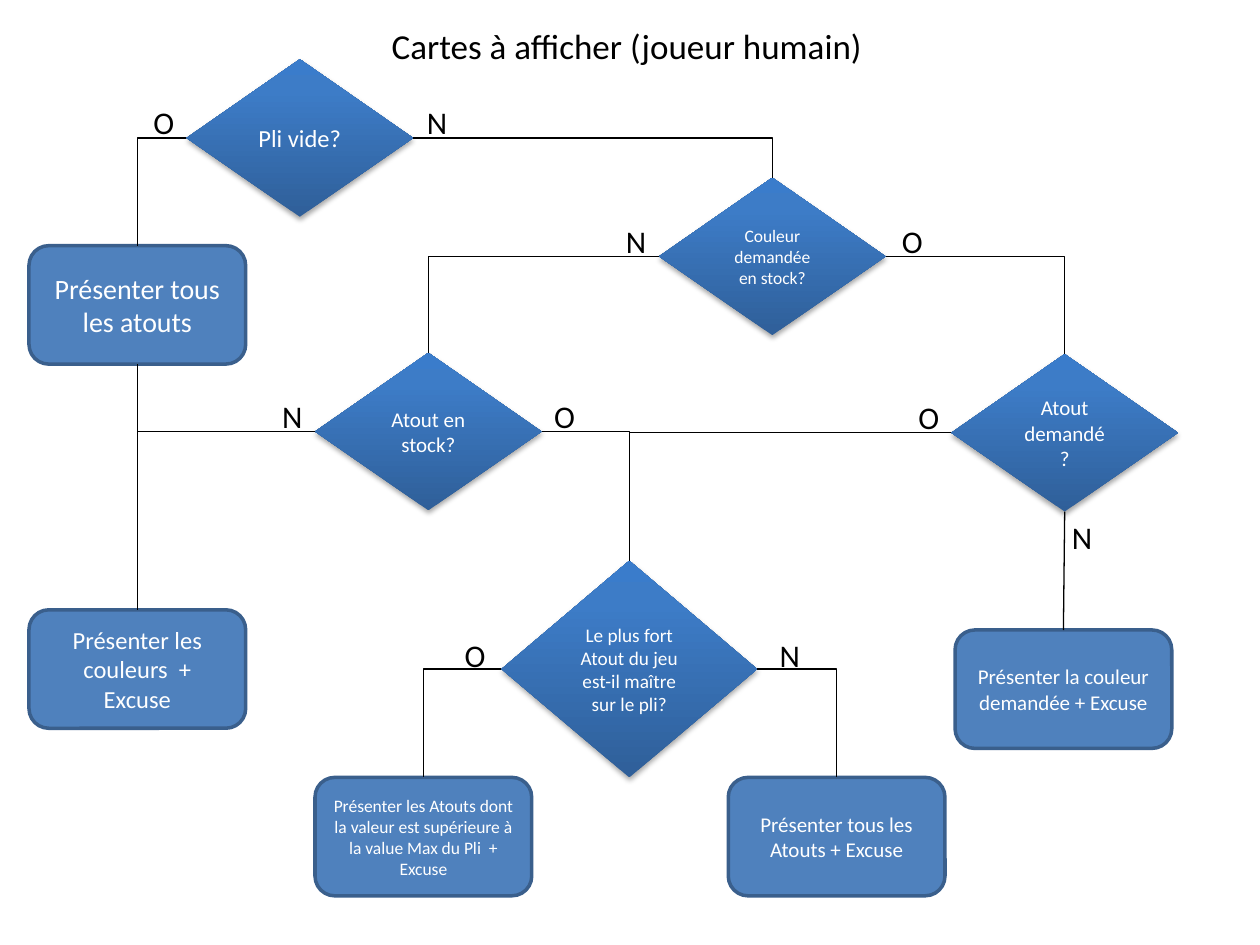
from lxml import etree
from pptx import Presentation
from pptx.dml.color import RGBColor
from pptx.enum.shapes import MSO_CONNECTOR, MSO_SHAPE
from pptx.enum.text import MSO_ANCHOR, PP_ALIGN
from pptx.oxml.ns import qn
from pptx.util import Inches, Pt

DIAMOND, BOX = MSO_SHAPE.DIAMOND, MSO_SHAPE.ROUNDED_RECTANGLE
STRAIGHT, ELBOW = MSO_CONNECTOR.STRAIGHT, MSO_CONNECTOR.ELBOW
CENTER, LEFT_ALIGN = PP_ALIGN.CENTER, PP_ALIGN.LEFT
MIDDLE, ANCHOR_TOP = MSO_ANCHOR.MIDDLE, MSO_ANCHOR.TOP
TOP, LEFT, BOTTOM, RIGHT = range(4)

FONT = "Calibri"
BLACK, WHITE = "000000", "FFFFFF"
BOX_FILL, BOX_LINE = "4F81BD", "3A5F8C"
GRADIENT = [(0, "2F5F99"), (80, "3D7CC7"), (100, "3A7CCB")]
SMALL, LARGE = (1.8, 1.25), (2.03, 1.72)
BOX_SIZE = (1.72, 0.94)

TITLE = "Cartes à afficher (joueur humain)"
DECISIONS = {
    "empty trick": ("Pli vide?", 1.48, 0.47, SMALL, 14),
    "suit in hand": ("Couleur demandée en stock?", 5.23, 1.41, SMALL, 10),
    "trump asked": ("Atout demandé?", 7.55, 2.81, SMALL, 12),
    "trump in hand": ("Atout en stock?", 2.5, 2.8, SMALL, 12),
    "best trump": ("Le plus fort Atout du jeu est-il maître sur le pli?", 3.98, 4.45, LARGE, 11),
}
RESULTS = {
    "all trumps": ("Présenter tous les atouts", 0.23, 1.95, 16),
    "suits": ("Présenter les couleurs  + Excuse", 0.23, 4.84, 14),
    "asked suit": ("Présenter la couleur demandée + Excuse", 7.58, 5, 12),
    "higher trumps": (
        "Présenter les Atouts dont la valeur est supérieure à la value Max du Pli  + Excuse",
        2.5, 6.17, 10),
    "trumps and excuse": ("Présenter tous les Atouts + Excuse", 5.78, 6.17, 12),
}
ANSWERS = [
    ("O", 1.12, 0.77), ("N", 3.29, 0.77),
    ("N", 4.87, 1.71), ("O", 7.06, 1.71),
    ("N", 2.14, 3.1), ("O", 4.3, 3.1),
    ("O", 7.19, 3.11), ("N", 8.41, 4.06),
    ("O", 3.59, 5), ("N", 6.09, 5),
]
LINKS = [
    (ELBOW, "empty trick", LEFT, "all trumps", TOP),
    (ELBOW, "empty trick", RIGHT, "suit in hand", TOP),
    (ELBOW, "suit in hand", RIGHT, "trump asked", TOP),
    (ELBOW, "suit in hand", LEFT, "trump in hand", TOP),
    (ELBOW, "trump asked", LEFT, "best trump", TOP),
    (ELBOW, "best trump", LEFT, "higher trumps", TOP),
    (ELBOW, "best trump", RIGHT, "trumps and excuse", TOP),
    (ELBOW, "trump in hand", LEFT, "suits", TOP),
    (ELBOW, "trump in hand", RIGHT, "best trump", TOP),
    (STRAIGHT, "all trumps", BOTTOM, "suits", TOP),
    (STRAIGHT, "trump asked", BOTTOM, "asked suit", TOP),
]


def rgb(color):
    return RGBColor.from_string(color)


def write(shape, text, size, color=WHITE, align=CENTER, anchor=MIDDLE, wrap=True):
    frame = shape.text_frame
    frame.word_wrap = wrap
    frame.vertical_anchor = anchor
    paragraph = frame.paragraphs[0]
    paragraph.alignment = align
    run = paragraph.add_run()
    run.text = text
    run.font.name = FONT
    run.font.size = Pt(size)
    run.font.color.rgb = rgb(color)


def add_text(text, left, top, width, height, size, **text_format):
    box = slide.shapes.add_textbox(Inches(left), Inches(top), Inches(width), Inches(height))
    write(box, text, size, color=BLACK, **text_format)


def add_node(kind, text, left, top, dimensions, size):
    width, height = dimensions
    shape = slide.shapes.add_shape(kind, Inches(left), Inches(top), Inches(width), Inches(height))
    shape.shadow.inherit = False
    write(shape, text, size)
    return shape


def add_color(parent, color):
    return etree.SubElement(parent, qn("a:srgbClr"), val=color)


def add_decision(text, left, top, dimensions, size):
    shape = add_node(DIAMOND, text, left, top, dimensions, size)
    shape.line.fill.background()
    shape.fill.gradient()
    shape.fill.gradient_angle = 90
    properties = shape.element.spPr
    stops = properties.find(".//" + qn("a:gsLst"))
    for stop in list(stops):
        stops.remove(stop)
    for position, color in GRADIENT:
        add_color(etree.SubElement(stops, qn("a:gs"), pos=str(position * 1000)), color)
    shadow = etree.SubElement(
        properties.find(qn("a:effectLst")), qn("a:outerShdw"),
        blurRad=str(Pt(3.1)), dist=str(Pt(1.8)), dir="5400000", rotWithShape="0")
    etree.SubElement(add_color(shadow, BLACK), qn("a:alpha"), val="35000")
    return shape


def add_result(text, left, top, size):
    shape = add_node(BOX, text, left, top, BOX_SIZE, size)
    shape.fill.solid()
    shape.fill.fore_color.rgb = rgb(BOX_FILL)
    shape.line.color.rgb = rgb(BOX_LINE)
    shape.line.width = Pt(2)
    return shape


def add_link(kind, start, start_site, end, end_site):
    connector = slide.shapes.add_connector(kind, 0, 0, 0, 0)
    connector.begin_connect(nodes[start], start_site)
    connector.end_connect(nodes[end], end_site)
    connector.line.color.rgb = rgb(BLACK)
    connector.line.width = Pt(0.75)
    properties = connector.element.spPr
    if kind == ELBOW:
        properties.find(qn("a:prstGeom")).set("prst", "bentConnector2")
    etree.SubElement(properties, qn("a:effectLst"))


presentation = Presentation()
presentation.slide_width = Inches(10)
presentation.slide_height = Inches(7.5)
slide = presentation.slides.add_slide(presentation.slide_layouts[6])

add_text(TITLE, 2.5, 0.16, 4.95, 0.4, 20)
nodes = {name: add_decision(*decision) for name, decision in DECISIONS.items()}
nodes.update({name: add_result(*result) for name, result in RESULTS.items()})
for link in LINKS:
    add_link(*link)
for answer, left, top in ANSWERS:
    add_text(answer, left, top, 0.37, 0.4, 18, align=LEFT_ALIGN, anchor=ANCHOR_TOP, wrap=False)

presentation.save("out.pptx")
